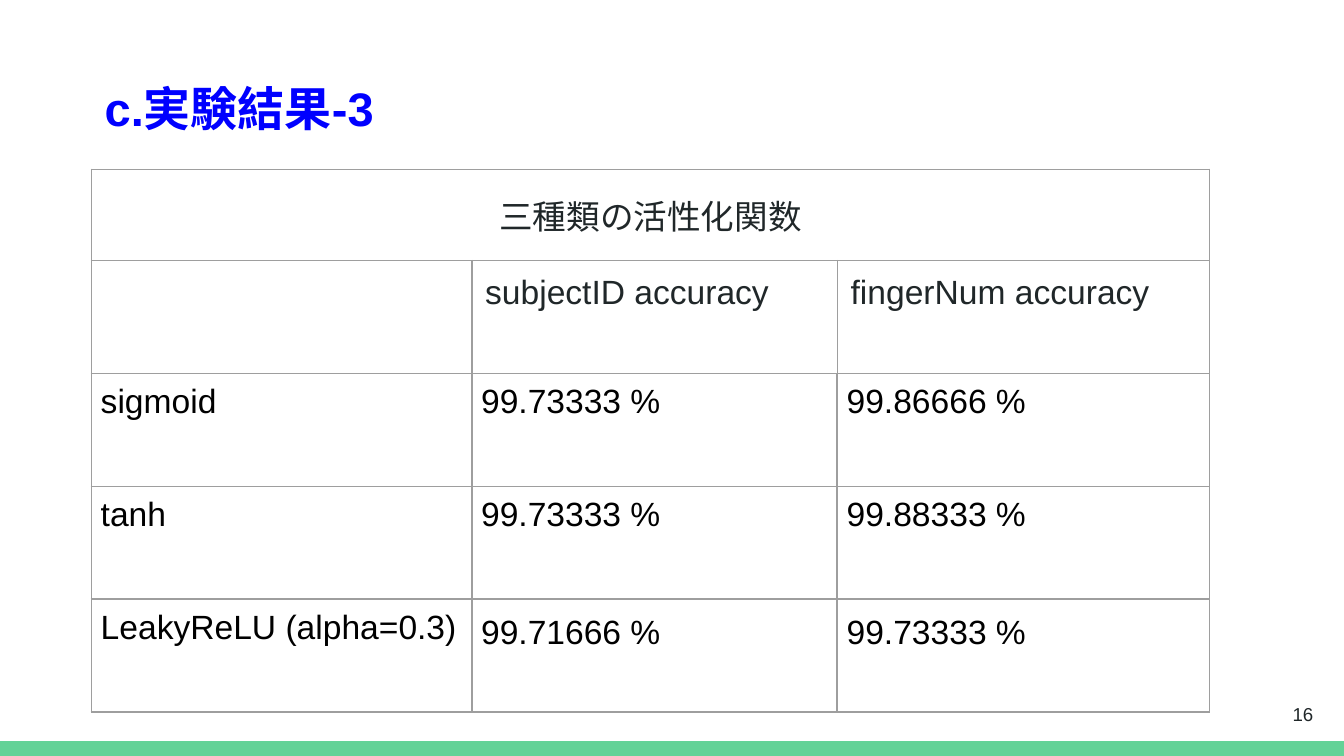
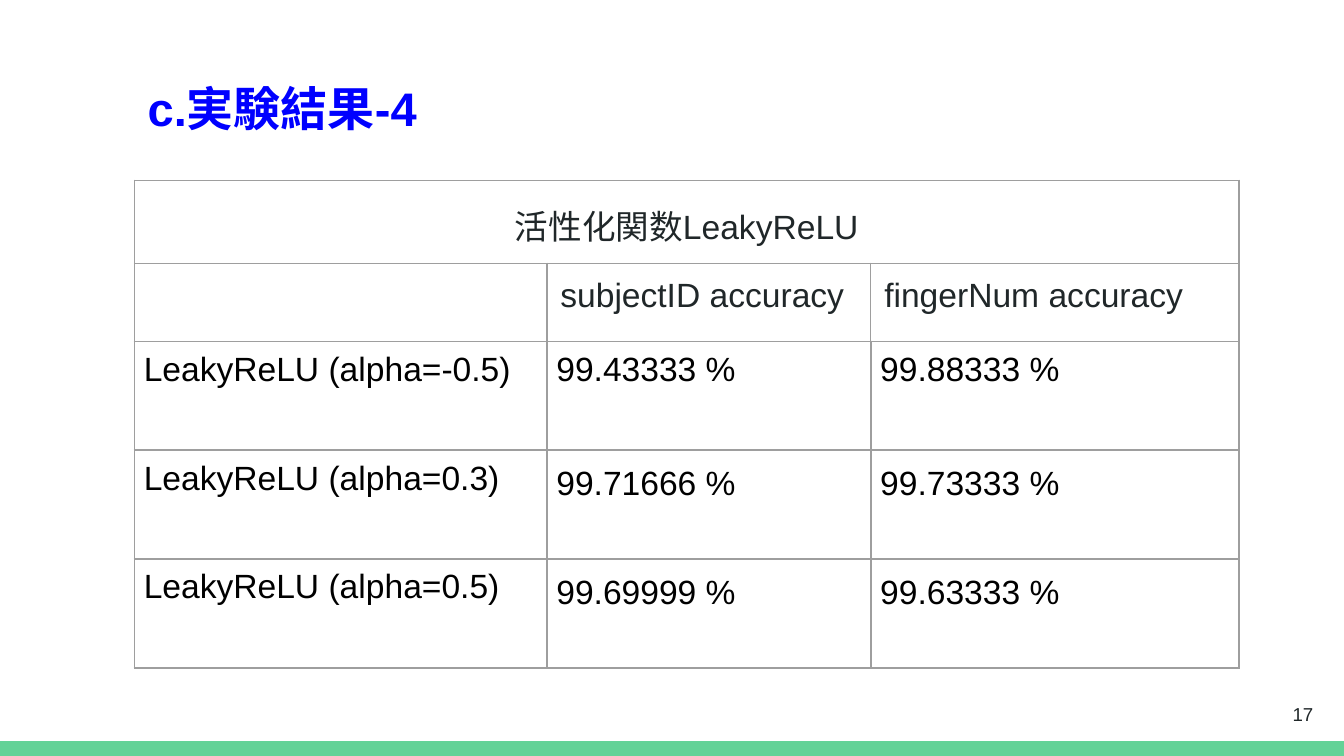
import pptx
import pptx.util
import pptx.dml.color
import pptx.enum.shapes
import pptx.enum.text
import pptx.oxml
import pptx.oxml.ns

Inches, Pt = pptx.util.Inches, pptx.util.Pt
RGB = pptx.dml.color.RGBColor
ALIGN = pptx.enum.text.PP_ALIGN
ANCHOR = pptx.enum.text.MSO_ANCHOR

# Content: each row is (label, subject, finger, line spacing of the values)
HEADS = ("", "subjectID accuracy", "fingerNum accuracy")
PAGES = [
    {
        "title": "c.実験結果-3", "page": "16", "left": 0.68, "top": 1.26, "wide": 9.32,
        "topic": "三種類の活性化関数",
        "cols": (2.83, 2.72, 2.77), "rows": (0.68, 0.84, 0.84),
        "data": [
            ("sigmoid", "99.73333 %", "99.86666 %", 1),
            ("tanh", "99.73333 %", "99.88333 %", 1),
            ("LeakyReLU (alpha=0.3)", "99.71666 %", "99.73333 %", 1.15),
        ],
    },
    {
        "title": "c.実験結果-4", "page": "17", "left": 1, "top": 1.34, "wide": 7.11,
        "topic": "活性化関数LeakyReLU",
        "cols": (3.07, 2.41, 2.74), "rows": (0.62, 0.58, 0.81),
        "data": [
            ("LeakyReLU (alpha=-0.5)", "99.43333 %", "99.88333 %", 1),
            ("LeakyReLU (alpha=0.3)", "99.71666 %", "99.73333 %", 1.15),
            ("LeakyReLU (alpha=0.5)", "99.69999 %", "99.63333 %", 1.15),
        ],
    },
]

# Shared style, on a 16:9 page
WIDTH, BAND = 10, 0.11
HEIGHT = WIDTH * 9 / 16
FONT = "Arial"
GREEN = RGB(0x63, 0xD2, 0x97)
BLUE = RGB(0x00, 0x00, 0xFF)
DARK = RGB(0x20, 0x27, 0x29)
BLACK = RGB(0x00, 0x00, 0x00)
GREY = RGB(0x9E, 0x9E, 0x9E)


def style(para, size, color, bold=False, align=ALIGN.LEFT, space=1):
    font = para.font
    font.name, font.size, font.bold = FONT, Pt(size), bold
    font.color.rgb = color
    para.alignment = align
    para.line_spacing = space


def inset(item, gap):
    item.margin_left = item.margin_right = Inches(gap)
    item.margin_top = item.margin_bottom = Inches(gap)


def add_text(slide, text, box, anchor, **look):
    frame = slide.shapes.add_textbox(*map(Inches, box)).text_frame
    frame.word_wrap = True
    frame.vertical_anchor = anchor
    inset(frame, 0.1)
    frame.text = text
    style(frame.paragraphs[0], **look)


def add_band(slide):
    band = slide.shapes.add_shape(
        pptx.enum.shapes.MSO_SHAPE.RECTANGLE,
        0, Inches(HEIGHT - BAND), Inches(WIDTH), Inches(BAND))
    band.shadow.inherit = False
    band.fill.solid()
    band.fill.fore_color.rgb = GREEN
    band.line.fill.background()


def add_edges(cell, widths):
    """Draw the cell borders; widths maps L, R, T and B to points."""
    props = cell._tc.get_or_add_tcPr()
    for side, width in widths.items():
        props.append(pptx.oxml.parse_xml(
            f'<a:ln{side} {pptx.oxml.ns.nsdecls("a")} w="{Pt(width)}">'
            f'<a:solidFill><a:srgbClr val="{GREY}"/></a:solidFill></a:ln{side}>'))


def add_grid(slide, page):
    top, head, body = page["rows"]
    highs = [top, head] + [body] * len(page["data"])
    grid = slide.shapes.add_table(
        len(highs), len(HEADS), Inches(page["left"]), Inches(page["top"]),
        Inches(sum(page["cols"])), Inches(sum(highs))).table
    grid.first_row = grid.horz_banding = False
    for col, wide in zip(grid.columns, page["cols"]):
        col.width = Inches(wide)
    for row, high in zip(grid.rows, highs):
        row.height = Inches(high)

    # Topic row, head row, then the values
    lines = [(page["topic"], "", "", 1.15), (*HEADS, 1)] + page["data"]
    for r, (*texts, space) in enumerate(lines):
        for c, text in enumerate(texts):
            cell = grid.cell(r, c)
            thin = r == 0 or (r == 1 and c > 0)
            edges = dict.fromkeys("LRTB", 0.75 if thin else 1)
            if r == 0:
                edges["B"] = 1
            add_edges(cell, edges)
            cell.fill.background()
            inset(cell, 0.1 if r < 2 else 0.07)
            cell.text = text
            style(cell.text_frame.paragraphs[0], 18, DARK if r < 2 else BLACK,
                  align=ALIGN.CENTER if r == 0 else ALIGN.LEFT,
                  space=space if r == 0 or c > 0 else 1)
    grid.cell(0, 0).merge(grid.cell(0, len(HEADS) - 1))


def main():
    deck = pptx.Presentation()
    deck.slide_width, deck.slide_height = Inches(WIDTH), Inches(HEIGHT)
    for page in PAGES:
        slide = deck.slides.add_slide(deck.slide_layouts[6])
        add_band(slide)
        add_text(slide, page["title"], (page["left"], 0.49, page["wide"], 0.63),
                 ANCHOR.TOP, size=25.2, color=BLUE, bold=True)
        add_grid(slide, page)
        add_text(slide, page["page"], (9.27, 5.1, 0.6, 0.43),
                 ANCHOR.MIDDLE, size=10, color=DARK, align=ALIGN.RIGHT)
    deck.save("out.pptx")


if __name__ == "__main__":
    main()
